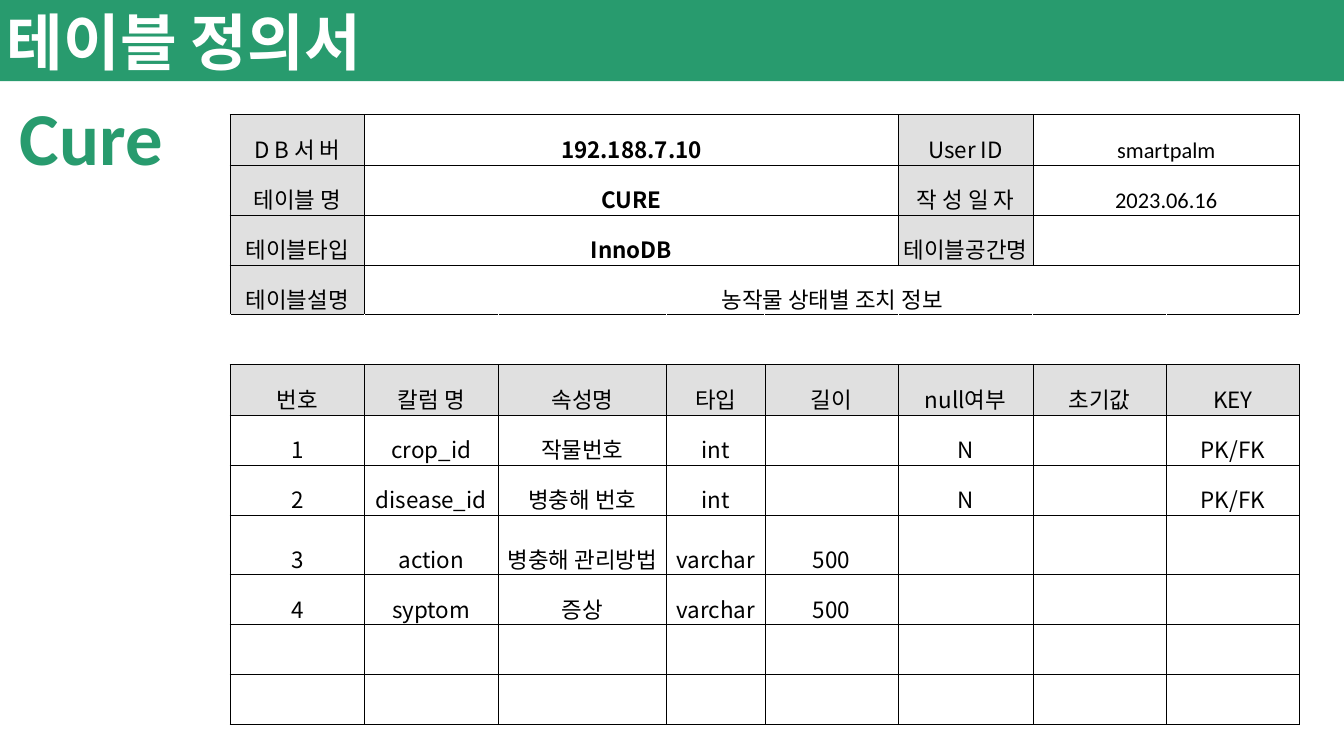
"""Build the table definition slide for the CURE table."""
import lxml.etree
import pptx
import pptx.dml.color
import pptx.enum.text
import pptx.oxml.ns
import pptx.util

Cm = pptx.util.Cm
Pt = pptx.util.Pt
Align = pptx.enum.text.PP_ALIGN
Anchor = pptx.enum.text.MSO_ANCHOR

COLORS = {"green": "289B6E", "white": "FFFFFF", "black": "000000", "label": "E0E0E0"}
HEADING_FONT = "Calibri"
TABLE_FONT = "Noto Sans CJK KR"

TITLE = "테이블 정의서"
TABLE_NAME = "Cure"
SUMMARY = [
    ("D B 서 버", "192.188.7.10", "User ID", "smartpalm"),
    ("테이블 명", "CURE", "작 성 일 자", "2023.06.16"),
    ("테이블타입", "InnoDB", "테이블공간명", ""),
]
DESCRIPTION = ("테이블설명", "농작물 상태별 조치 정보")
HEADER = ("번호", "칼럼 명", "속성명", "타입", "길이", "null여부", "초기값", "KEY")
FIELDS = [
    ("1", "crop_id", "작물번호", "int", "", "N", "", "PK/FK"),
    ("2", "disease_id", "병충해 번호", "int", "", "N", "", "PK/FK"),
    ("3", "action", "병충해 관리방법", "varchar", "500", "", "", ""),
    ("4", "syptom", "증상", "varchar", "500", "", "", ""),
]
EMPTY_ROWS = 2
COLUMN_WIDTHS = [5.09, 5.04, 6.38, 3.71, 5.04, 5.09, 5.04, 5.04]
ROW_HEIGHT, TALL_ROW_HEIGHT = 1.89, 2.26
DESCRIPTION_ROW = len(SUMMARY)
HEADER_ROW = DESCRIPTION_ROW + 2
TALL_ROW = HEADER_ROW + 3
LAST_ROW = HEADER_ROW + len(FIELDS) + EMPTY_ROWS
LAST_COLUMN = len(HEADER) - 1
BLOCKS = [(0, DESCRIPTION_ROW), (HEADER_ROW, LAST_ROW)]
SUMMARY_COLUMNS = (0, 1, 5, 6)


def color(name):
    return pptx.dml.color.RGBColor.from_string(COLORS[name])


def set_font(paragraph, name, size, color_name, bold=False):
    font = paragraph.font
    font.name, font.size, font.bold = name, Pt(size), bold
    font.color.rgb = color(color_name)


def place(shape, left, top, width, height):
    shape.left, shape.top, shape.width, shape.height = map(Cm, (left, top, width, height))


def write_cell(cell, text, label=False, bold=False, font=TABLE_FONT):
    if label:
        cell.fill.solid()
        cell.fill.fore_color.rgb = color("label")
    if text:
        paragraph = cell.text_frame.paragraphs[0]
        paragraph.text = text
        paragraph.alignment = Align.CENTER
        set_font(paragraph, font, 24, "black", bold)


def set_borders(cell, weights):
    properties = cell._tc.get_or_add_tcPr()
    for index, (side, weight) in enumerate(weights.items()):
        line = lxml.etree.Element(pptx.oxml.ns.qn("a:ln" + side), w=str(Pt(weight)))
        fill = lxml.etree.SubElement(line, pptx.oxml.ns.qn("a:solidFill"))
        lxml.etree.SubElement(fill, pptx.oxml.ns.qn("a:srgbClr"), val=COLORS["black"])
        properties.insert(index, line)


def add_headings(slide):
    title = slide.shapes.title
    place(title, 0, 0, 51.23, 3.07)
    title.fill.solid()
    title.fill.fore_color.rgb = color("green")
    frame = title.text_frame
    frame.text = TITLE
    frame.auto_size = pptx.enum.text.MSO_AUTO_SIZE.NONE
    frame.vertical_anchor = Anchor.MIDDLE
    frame.paragraphs[0].alignment = Align.LEFT
    set_font(frame.paragraphs[0], HEADING_FONT, 66, "white", True)

    name_box = slide.shapes.add_textbox(Cm(0.5), Cm(3.3), Cm(11.55), Cm(3.69))
    name_box.text_frame.word_wrap = True
    name_box.text_frame.text = TABLE_NAME
    set_font(name_box.text_frame.paragraphs[0], HEADING_FONT, 80, "green", True)


def add_definition_table(slide):
    row_count = LAST_ROW + 1
    heights = [TALL_ROW_HEIGHT if row == TALL_ROW else ROW_HEIGHT for row in range(row_count)]
    table = slide.shapes.add_table(
        row_count, len(HEADER), Cm(8.69), Cm(4.34), Cm(sum(COLUMN_WIDTHS)), Cm(sum(heights))
    ).table
    table.first_row = table.horz_banding = False
    for column, width in zip(table.columns, COLUMN_WIDTHS):
        column.width = Cm(width)
    for row, height in zip(table.rows, heights):
        row.height = Cm(height)
    for cell in table.iter_cells():
        cell.fill.background()
        cell.vertical_anchor = Anchor.BOTTOM
        cell.margin_left = cell.margin_right = cell.margin_top = Cm(0.02)
        cell.margin_bottom = 0

    for row, values in enumerate(SUMMARY):
        table.cell(row, 1).merge(table.cell(row, 4))
        table.cell(row, 6).merge(table.cell(row, LAST_COLUMN))
        for column, text in zip(SUMMARY_COLUMNS, values):
            font = HEADING_FONT if column == 6 else TABLE_FONT
            write_cell(table.cell(row, column), text, column in (0, 5), column == 1, font)
    table.cell(DESCRIPTION_ROW, 1).merge(table.cell(DESCRIPTION_ROW, LAST_COLUMN))
    for column, text in enumerate(DESCRIPTION):
        write_cell(table.cell(DESCRIPTION_ROW, column), text, column == 0)
    for row, values in enumerate([HEADER] + FIELDS, HEADER_ROW):
        for column, text in enumerate(values):
            write_cell(table.cell(row, column), text, row == HEADER_ROW)

    for first, last in BLOCKS:
        for row in range(first, last + 1):
            for column in range(len(HEADER)):
                cell = table.cell(row, column)
                outer = {
                    "L": column == 0,
                    "R": column + cell.span_width - 1 == LAST_COLUMN,
                    "T": row == first,
                    "B": row == last,
                }
                set_borders(cell, {side: 1 if edge else 0.5 for side, edge in outer.items()})
    for column in range(len(HEADER)):
        set_borders(table.cell(DESCRIPTION_ROW + 1, column), {"T": 1, "B": 1})


def main():
    presentation = pptx.Presentation()
    presentation.slide_width, presentation.slide_height = Cm(50.8), Cm(28.58)
    slide = presentation.slides.add_slide(presentation.slide_layouts[5])
    add_headings(slide)
    add_definition_table(slide)
    presentation.save("out.pptx")


if __name__ == "__main__":
    main()
